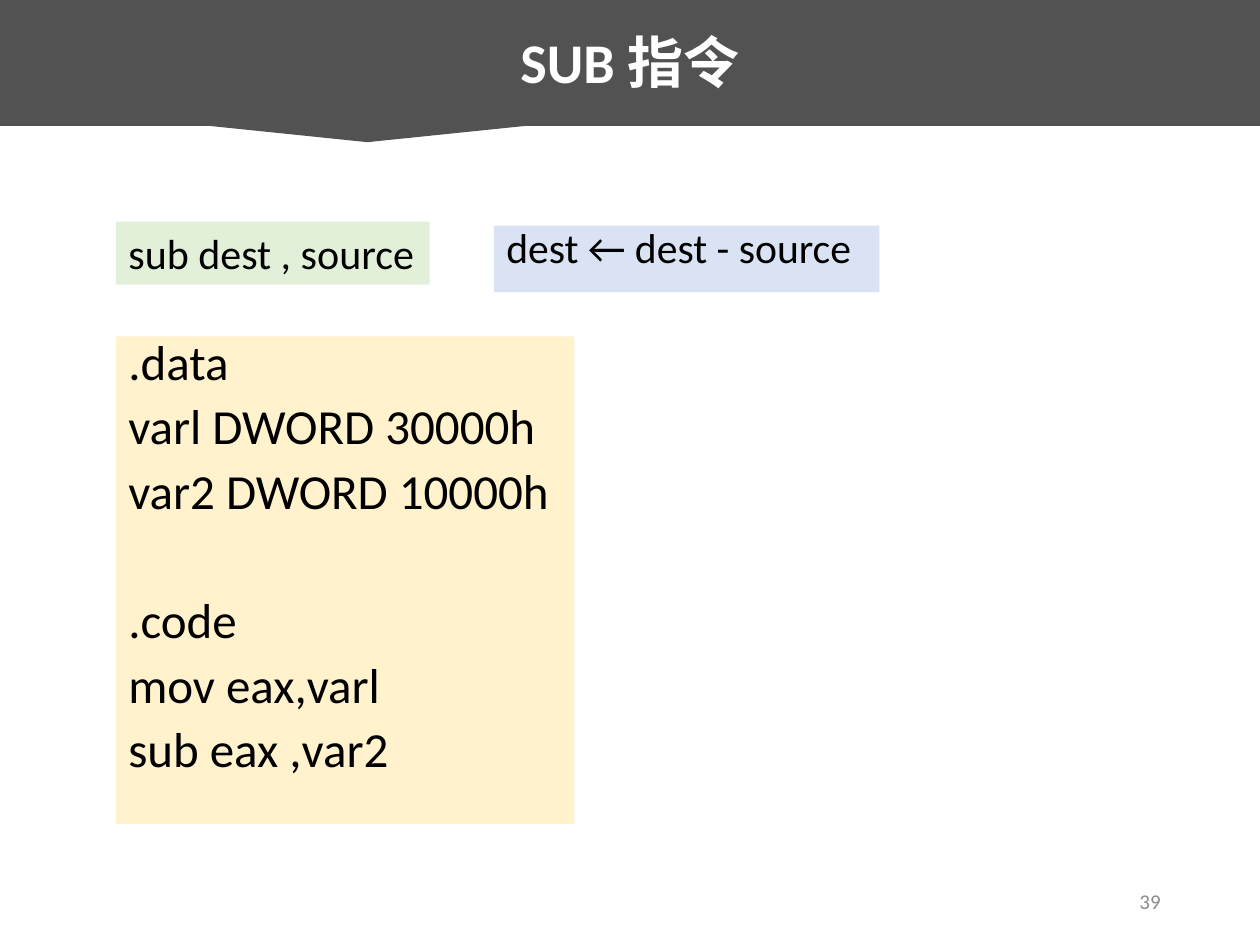
from pptx import Presentation
from pptx.dml.color import RGBColor
from pptx.enum.shapes import MSO_SHAPE as Shape
from pptx.enum.text import MSO_ANCHOR as Anchor, MSO_AUTO_SIZE as Auto, PP_ALIGN as Align
from pptx.util import Pt

FONT = "Calibri"
BLACK = RGBColor(0x00, 0x00, 0x00)
WHITE = RGBColor(0xFF, 0xFF, 0xFF)
DARK = RGBColor(0x52, 0x52, 0x52)
GRAY = RGBColor(0x8C, 0x8C, 0x8C)
CREAM = RGBColor(0xFF, 0xF2, 0xCC)
GREEN = RGBColor(0xE2, 0xF0, 0xD9)
BLUE = RGBColor(0xDA, 0xE3, 0xF3)

TITLE = "SUB 指令"
SYNTAX = "sub dest , source"
EFFECT = "dest ← dest - source"
DATA = [".data", "varl DWORD 30000h", "var2 DWORD 10000h"]
CODE = [".code", "mov eax,varl", "sub eax ,var2"]
NUMBER = "39"

LEFT = 66.24
BAND = (0, -2.16, 720, 74.16)
GAP = 10
BREAK = 47


def style(frame, size, color, align=Align.LEFT, bold=False):
    for par in frame.paragraphs:
        par.alignment = align
        for run in par.runs:
            font = run.font
            font.name, font.size, font.bold = FONT, Pt(size), bold
            font.color.rgb = color


def add_box(slide, area, text, size, color=BLACK, fill=None, align=Align.LEFT):
    box = slide.shapes.add_textbox(*map(Pt, area))
    if fill is not None:
        box.fill.solid()
        box.fill.fore_color.rgb = fill
    frame = box.text_frame
    frame.word_wrap = True
    frame.text = text
    style(frame, size, color, align)
    return frame


def add_title(slide):
    band = slide.shapes.add_shape(Shape.RECTANGULAR_CALLOUT, *map(Pt, BAND))
    band.shadow.inherit = False
    band.fill.solid()
    band.fill.fore_color.rgb = DARK
    band.line.fill.background()
    title = slide.shapes.title
    title.left, title.top, title.width, title.height = map(Pt, BAND)
    title.text_frame.text = TITLE
    title.text_frame.vertical_anchor = Anchor.MIDDLE
    style(title.text_frame, 32, WHITE, Align.CENTER, True)
    band.element.addnext(title.element)


def main():
    deck = Presentation()
    deck.slide_width, deck.slide_height = Pt(720), Pt(540)
    slide = deck.slides.add_slide(deck.slide_layouts[5])

    code = add_box(slide, (LEFT, 192.24, 262.08, 278.64), "\n".join(DATA + CODE), 28, fill=CREAM)
    for i, par in enumerate(code.paragraphs):
        par.line_spacing = 0.8
        if i:
            par.space_before = Pt(BREAK if i == len(DATA) else GAP)

    syntax = add_box(slide, (LEFT, 126.72, 179.28, 36), SYNTAX, 24, fill=GREEN)
    syntax.word_wrap = False
    syntax.auto_size = Auto.SHAPE_TO_FIT_TEXT

    effect = add_box(slide, (282.24, 128.88, 220.32, 38.16), EFFECT, 23.8, fill=BLUE)
    effect.paragraphs[0].line_spacing = 0.8

    number = add_box(slide, (508.32, 500.4, 162, 28.8), NUMBER, 12, GRAY, align=Align.RIGHT)
    number.vertical_anchor = Anchor.MIDDLE

    add_title(slide)
    deck.save("out.pptx")


if __name__ == "__main__":
    main()
